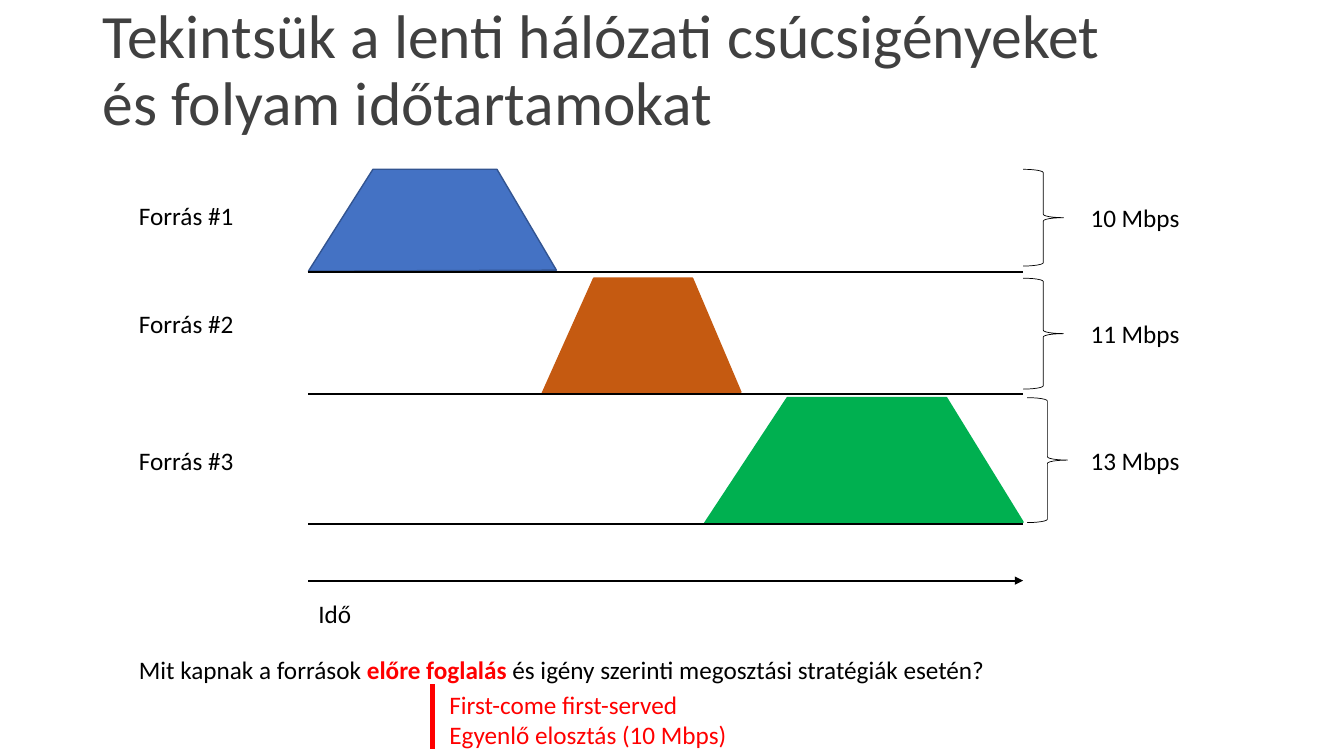
from dataclasses import dataclass
from lxml.etree import SubElement
from pptx import Presentation
from pptx.dml.color import RGBColor
from pptx.enum.shapes import MSO_CONNECTOR, MSO_SHAPE
from pptx.enum.text import MSO_ANCHOR
from pptx.oxml.ns import qn
from pptx.util import Inches, Pt


@dataclass(frozen=True)
class Theme:
    font: str = "Calibri"
    title_size: int = 44
    body_size: int = 18
    title: str = "404040"
    ink: str = "000000"
    accent: str = "FF0000"
    brace_width: float = 0.5
    edge_width: float = 1
    axis_width: float = 1.5
    bar_width: float = 3


@dataclass(frozen=True)
class Flow:
    """Demand of one source; lengths in grid columns and rows."""
    name: str
    rate: str
    fill: str
    edge: str
    corners: tuple  # columns: start, full rate reached, full rate left, end
    top: float
    base: float
    label_row: float
    brace_rows: float
    brace_gap: float = 0


THEME = Theme()
WIDTH, HEIGHT = Inches(13.33), Inches(7.5)

# The grid has 100 columns and 100 rows
TIME_START, TIME_END = 22.95, 76.13
LABEL_COL, RATE_COL = 9.6, 80.4
TEXT_ROWS = 5.33
BRACE_COLS = 3
BASE_GAP = 0.13  # between a demand's foot and its time line
BAR_COL, ANSWER_COL, ANSWER_ROW = 32.18, 32.7, 90.53
LINE_BREAK = "\n"

FLOWS = [
    Flow("Forrás #1", "10 Mbps", "4472C4", "325491",
         (22.95, 27.75, 36.98, 41.4), 22.4, 36, 25.87, 12.8),
    Flow("Forrás #2", "11 Mbps", "C55A11", "C55A11",
         (40.35, 44.18, 51.53, 55.13), 36.8, 52.13, 40.13, 14.67),
    Flow("Forrás #3", "13 Mbps", "00B050", "00B050",
         (52.43, 58.58, 70.43, 76.13), 52.6, 69.33, 58.27, 16.53, 0.3),
]


def col(share):
    return round(WIDTH * share / 100)


def row(share):
    return round(HEIGHT * share / 100)


def apply_format(target, values):
    for name, value in values.items():
        setattr(target, name, value)


def set_line(line, color, width):
    line.color.rgb = RGBColor.from_string(color)
    line.width = Pt(width)


def add_run(paragraph, text, size, color=THEME.ink, bold=False):
    run = paragraph.add_run()
    run.text = text
    apply_format(run.font, {"name": THEME.font, "size": Pt(size), "bold": bold})
    run.font.color.rgb = RGBColor.from_string(color)


def add_text(slide, left, top, columns, rows, paragraphs, size=THEME.body_size):
    """Each paragraph lists (text, color, bold) runs and LINE_BREAK marks."""
    box = slide.shapes.add_textbox(col(left), row(top), col(columns), row(rows))
    frame = box.text_frame
    frame.word_wrap = True
    for index, pieces in enumerate(paragraphs):
        paragraph = frame.add_paragraph() if index else frame.paragraphs[0]
        for piece in pieces:
            if piece == LINE_BREAK:
                paragraph.add_line_break()
            else:
                text, *style = piece
                add_run(paragraph, text, size, *style)
    return frame


def add_label(slide, left, top, columns, text):
    add_text(slide, left, top, columns, TEXT_ROWS, [[(text,)]])


def add_line(slide, start, end, color, width, arrow=False):
    (start_col, start_row), (end_col, end_row) = start, end
    line = slide.shapes.add_connector(
        MSO_CONNECTOR.STRAIGHT, col(start_col), row(start_row),
        col(end_col), row(end_row))
    set_line(line.line, color, width)
    properties = line._element.spPr
    if arrow:
        SubElement(properties.find(qn("a:ln")), qn("a:tailEnd"), type="triangle")
    SubElement(properties, qn("a:effectLst"))


def add_time_line(slide, at_row, arrow=False):
    add_line(slide, (TIME_START, at_row), (TIME_END, at_row),
             THEME.ink, THEME.axis_width, arrow)


def add_demand(slide, flow):
    start, full, fading, end = flow.corners
    foot = flow.base - BASE_GAP
    outline = slide.shapes.build_freeform(col(start), row(foot))
    outline.add_line_segments(
        [(col(full), row(flow.top)), (col(fading), row(flow.top)),
         (col(end), row(foot - BASE_GAP))], close=True)
    demand = outline.convert_to_shape()
    demand.shadow.inherit = False
    demand.fill.solid()
    demand.fill.fore_color.rgb = RGBColor.from_string(flow.fill)
    set_line(demand.line, flow.edge, THEME.edge_width)


def add_rate(slide, flow):
    """A brace, with the rate centred beside it."""
    brace = slide.shapes.add_shape(
        MSO_SHAPE.RIGHT_BRACE, col(TIME_END + flow.brace_gap), row(flow.top),
        col(BRACE_COLS), row(flow.brace_rows))
    brace.shadow.inherit = False
    brace.fill.background()
    set_line(brace.line, THEME.ink, THEME.brace_width)
    rate_row = flow.top + (flow.brace_rows - TEXT_ROWS) / 2
    add_label(slide, RATE_COL, rate_row, 12, flow.rate)


def add_title(slide, first_line, second_line):
    frame = add_text(
        slide, 6.9, -0.13, 86.25, 19.33,
        [[(first_line, THEME.title), LINE_BREAK, (second_line, THEME.title)]],
        THEME.title_size)
    frame.vertical_anchor = MSO_ANCHOR.MIDDLE
    frame.paragraphs[0].line_spacing = 0.9


def main():
    deck = Presentation()
    apply_format(deck, {"slide_width": WIDTH, "slide_height": HEIGHT})
    slide = deck.slides.add_slide(deck.slide_layouts[6])
    add_title(slide, "Tekintsük a lenti hálózati csúcsigényeket ",
              "és folyam időtartamokat")

    # Demand of each source over time
    for flow in FLOWS:
        add_demand(slide, flow)
        add_time_line(slide, flow.base)
        add_label(slide, LABEL_COL, flow.label_row, 9.38, flow.name)
        add_rate(slide, flow)

    # Time axis
    add_time_line(slide, 76.8, arrow=True)
    add_label(slide, TIME_START, 78.53, 12, "Idő")

    # Question
    add_text(slide, LABEL_COL, 85.87, 69.75, TEXT_ROWS, [[
        ("Mit kapnak a források ",),
        ("előre foglalás ", THEME.accent, True),
        ("és igény szerinti megosztási stratégiák esetén?",)]])

    # Answer with its side bar
    answers = ["First-come first-served", "Egyenlő elosztás (10 Mbps)"]
    add_text(slide, ANSWER_COL, ANSWER_ROW, 22.43, 9.47,
             [[(answer, THEME.accent)] for answer in answers])
    add_line(slide, (BAR_COL, ANSWER_ROW), (BAR_COL, 99.07),
             THEME.accent, THEME.bar_width)

    deck.save("out.pptx")


if __name__ == "__main__":
    main()
